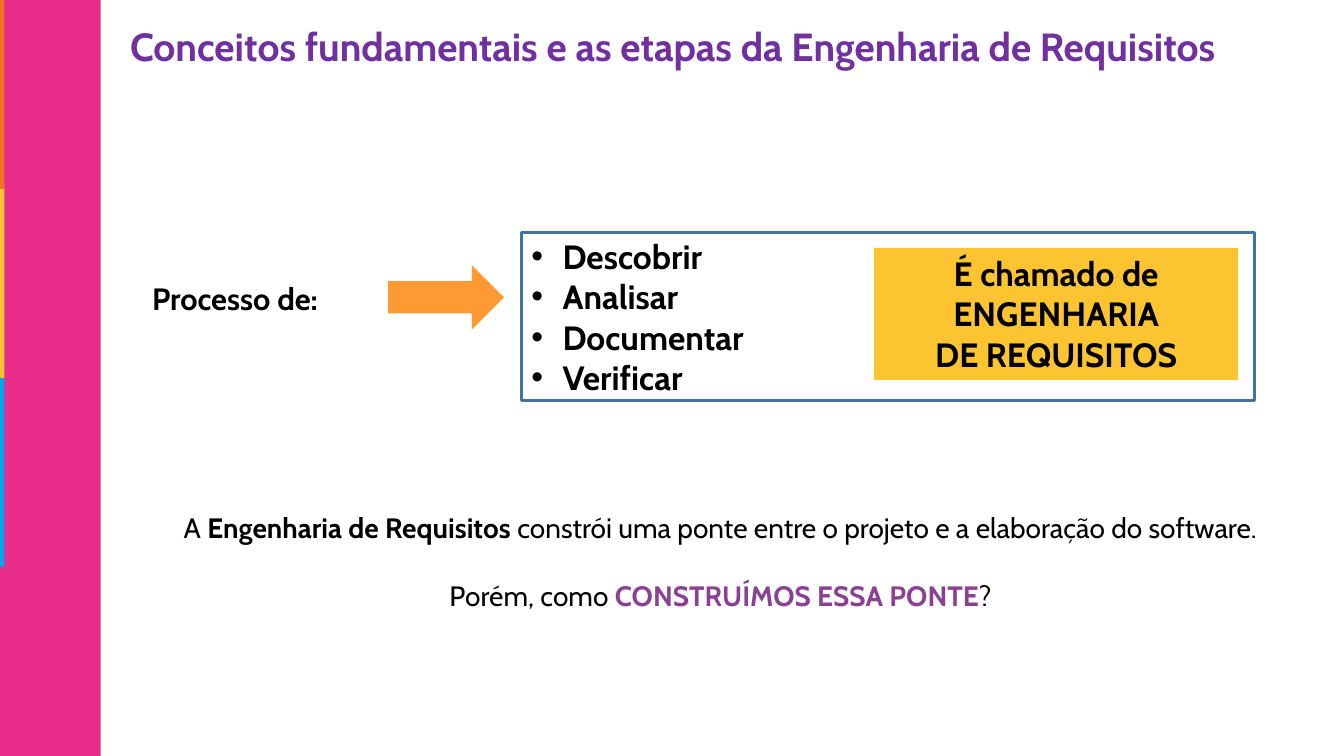
from dataclasses import dataclass

from lxml.etree import SubElement
from pptx import Presentation
from pptx.dml.color import RGBColor
from pptx.enum.shapes import MSO_SHAPE as Shape
from pptx.enum.text import MSO_ANCHOR as Anchor, MSO_AUTO_SIZE as AutoSize, PP_ALIGN as Align
from pptx.oxml.ns import qn
from pptx.util import Inches, Pt

FONT = "Cabin"
BLACK, WHITE, PINK, YELLOW = "000000", "FFFFFF", "E82E8A", "FDC432"
STRIPES = ("EE7325", YELLOW, "00A6E9", PINK)

deck = Presentation()
deck.slide_width, deck.slide_height = Inches(13.33), Inches(7.5)
page = deck.slides.add_slide(deck.slide_layouts[1])


@dataclass(frozen=True)
class Area:
    """A place on the slide, in percent of its width and height."""
    left: float
    top: float
    width: float
    height: float

    def lengths(self) -> tuple[int, int, int, int]:
        across, down = deck.slide_width / 100, deck.slide_height / 100
        return (round(self.left * across), round(self.top * down),
                round(self.width * across), round(self.height * down))


@dataclass(frozen=True)
class Span:
    text: str
    bold: bool = True
    color: str = BLACK


@dataclass(frozen=True)
class Block:
    kind: Shape
    area: Area
    color: str


def rgb(code: str) -> RGBColor:
    return RGBColor.from_string(code)


def place(box, area: Area) -> None:
    box.left, box.top, box.width, box.height = area.lengths()


def add_block(block: Block):
    box = page.shapes.add_shape(block.kind, *block.area.lengths())
    box.shadow.inherit = False
    box.fill.solid()
    box.fill.fore_color.rgb = rgb(block.color)
    box.line.fill.background()
    return box


def write(box, lines: list[list[Span]], size: int, align: Align = Align.LEFT,
          anchor: Anchor = Anchor.TOP, gap: int = 0) -> None:
    frame = box.text_frame
    frame.word_wrap = True
    frame.auto_size = AutoSize.NONE
    frame.vertical_anchor = anchor
    frame.text = "\n".join(spans[0].text for spans in lines)
    for index, (para, spans) in enumerate(zip(frame.paragraphs, lines)):
        para.alignment = align
        para.space_before = Pt(gap if index else 0)
        for span in spans[1:]:
            para.add_run().text = span.text
        for run, span in zip(para.runs, spans):
            run.font.name, run.font.size, run.font.bold = FONT, Pt(size), span.bold
            run.font.color.rgb = rgb(span.color)


def add_bullets(box, indent: float) -> None:
    for para in box.text_frame.paragraphs:
        props = para._p.get_or_add_pPr()
        props.set("marL", str(Inches(indent)))
        props.set("indent", str(-Inches(indent)))
        color = SubElement(props, qn("a:buClr"))
        SubElement(color, qn("a:srgbClr"), val=BLACK)
        SubElement(props, qn("a:buFont"), typeface="Arial")
        SubElement(props, qn("a:buChar"), char="•")


# Side bar with its stripes
add_block(Block(Shape.RECTANGLE, Area(0, 0, 7.5, 100), PINK))
stripe_height = 100 / len(STRIPES)
for row, stripe_color in enumerate(STRIPES):
    stripe = Area(0, row * stripe_height, 0.33, stripe_height)
    add_block(Block(Shape.RECTANGLE, stripe, stripe_color))

# Title
title = page.shapes.title
place(title, Area(7.05, 2.27, 92.95, 22.53))
write(title, [[Span("Conceitos fundamentais e as etapas da Engenharia de Requisitos",
                    color="7030A0")]], 28)
title.text_frame.margin_left = Inches(0.35)

# Framed list of activities
activities = page.placeholders[1]
place(activities, Area(38.78, 30.8, 54.54, 22.13))
activities.fill.solid()
activities.fill.fore_color.rgb = rgb(WHITE)
activities.line.color.rgb = rgb("43739E")
activities.line.width = Pt(2.25)
names = ("Descobrir", "Analisar", "Documentar", "Verificar")
write(activities, [[Span(name)] for name in names], 24, anchor=Anchor.MIDDLE)
add_bullets(activities, 0.31)

# Label and arrow leading to the list
label = page.shapes.add_textbox(*Area(10.58, 36.4, 18.3, 6.27).lengths())
write(label, [[Span("Processo de:")]], 22)
add_block(Block(Shape.RIGHT_ARROW, Area(28.88, 35.07, 8.63, 8.53), "FF9933"))

# Name given to the process
process_name = add_block(Block(Shape.RECTANGLE, Area(65.04, 32.8, 27.08, 17.47), YELLOW))
write(process_name, [[Span("É chamado de ENGENHARIA")], [Span("DE REQUISITOS")]],
      24, Align.CENTER)

# Closing question
closing = page.shapes.add_textbox(*Area(8.78, 66.93, 89.65, 19.33).lengths())
write(closing, [
    [Span("A ", False), Span("Engenharia de Requisitos "),
     Span("constrói uma ponte entre o projeto e a elaboração do software.", False)],
    [Span("Porém, como ", False), Span("CONSTRUÍMOS ESSA PONTE", color="8A4194"),
     Span("?", False)],
], 20, Align.CENTER, gap=24)

deck.save("out.pptx")
